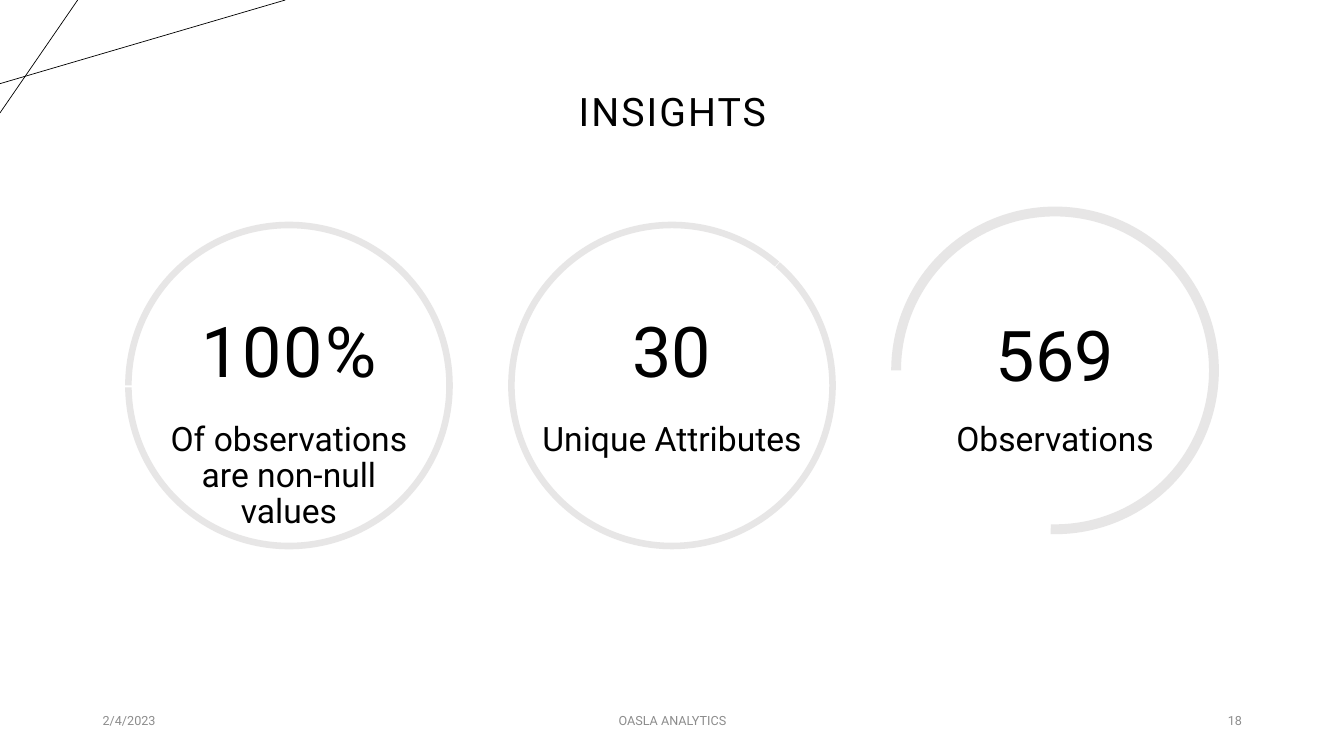
"""Build the insights slide: three ringed figures with labels and a footer."""
from dataclasses import dataclass

import pptx
import pptx.dml.color
import pptx.enum.shapes
import pptx.enum.text
import pptx.oxml
import pptx.oxml.ns
import pptx.util

RGBColor = pptx.dml.color.RGBColor
Align = pptx.enum.text.PP_ALIGN
Anchor = pptx.enum.text.MSO_ANCHOR

BLACK = RGBColor(0x00, 0x00, 0x00)
WHITE = RGBColor(0xFF, 0xFF, 0xFF)
GREY = RGBColor(0x8C, 0x8C, 0x8C)
RING = RGBColor(0xE7, 0xE6, 0xE6)

FONT = "Roboto"
WIDTH = pptx.util.Inches(13.33)
HEIGHT = pptx.util.Inches(7.5)
PITCH = 28.5
RING_SIZE = pptx.util.Inches(3.25)
TEXT_WIDTH = 22.05
TEXT_TOP = 54.13


@dataclass(frozen=True)
class Box:
    """A rectangle in percent of the slide's width and height."""

    left: float
    top: float
    width: float
    height: float

    def emu(self) -> tuple[int, int, int, int]:
        """Return left, top, width and height in EMU."""
        return (across(self.left), down(self.top),
                across(self.width), down(self.height))


@dataclass(frozen=True)
class Style:
    """How a text is set."""

    size: float
    color: RGBColor = BLACK
    align: Align = Align.CENTER
    anchor: Anchor = Anchor.MIDDLE
    spacing: float = 1.0
    tracking: float = 0
    inset: float | None = None


@dataclass(frozen=True)
class Insight:
    """A figure in a ring; angles in degrees, tops and heights in percent."""

    runs: tuple[str, ...]
    label: str
    start: float
    end: float
    thickness: float
    ring_top: float = 29.33
    figure_top: float = 37.87
    label_height: float = 12.27
    tracking: float = 0


@dataclass(frozen=True)
class Footer:
    """One footer entry."""

    text: str
    box: Box
    align: Align


INSIGHTS = (
    Insight(("100", "%"), "Of observations are non-null values", 180, 179.35,
            0.02, label_height=19.47, tracking=1.5),
    Insight(("30",), "Unique Attributes", 311.15, 310.86, 0.02),
    Insight(("569",), "Observations", 180, 91.55, 0.03,
            ring_top=27.33, figure_top=38.4),
)
FOOTERS = (
    Footer("2/4/2023", Box(6.9, 92.67, 22.5, 5.33), Align.LEFT),
    Footer("OASLA ANALYTICS", Box(33.15, 92.67, 33.75, 5.33), Align.CENTER),
    Footer("18", Box(70.65, 92.67, 22.5, 5.33), Align.RIGHT),
)
CORNER_LINES = ((0, 11.07, 21.23, 0), (5.78, 0, 0, 14.93))


def across(share: float) -> int:
    """Turn percent of the slide's width into EMU."""
    return round(WIDTH * share / 100)


def down(share: float) -> int:
    """Turn percent of the slide's height into EMU."""
    return round(HEIGHT * share / 100)


def write(tf: pptx.text.text.TextFrame, runs: tuple[str, ...], style: Style) -> None:
    """Fill a text frame with one styled paragraph."""
    tf.word_wrap = True
    tf.auto_size = pptx.enum.text.MSO_AUTO_SIZE.NONE
    tf.vertical_anchor = style.anchor
    if style.inset is not None:
        inset = pptx.util.Inches(style.inset)
        tf.margin_left = tf.margin_right = inset
        tf.margin_top = tf.margin_bottom = inset
    p = tf.paragraphs[0]
    p.alignment = style.align
    p.line_spacing = style.spacing
    for text in runs:
        r = p.add_run()
        r.text = text
        r.font.name = FONT
        r.font.size = pptx.util.Pt(style.size)
        r.font.color.rgb = style.color
        if style.tracking:
            r.font._element.set("spc", str(round(style.tracking * 100)))


def add_text(s: pptx.slide.Slide, box: Box, runs: tuple[str, ...], style: Style) -> None:
    """Add a text box."""
    write(s.shapes.add_textbox(*box.emu()).text_frame, runs, style)


def add_title(s: pptx.slide.Slide, text: str) -> None:
    """Place and fill the title placeholder."""
    sp = s.shapes.title
    sp.left, sp.top, sp.width, sp.height = Box(6.9, 5.33, 86.27, 19.33).emu()
    write(sp.text_frame, (text,), Style(28, spacing=0.9, tracking=1.5))


def add_corner_line(s: pptx.slide.Slide, x1: float, y1: float, x2: float, y2: float) -> None:
    """Add a thin line across the slide's corner."""
    line = s.shapes.add_connector(
        pptx.enum.shapes.MSO_CONNECTOR.STRAIGHT,
        across(x1), down(y1), across(x2), down(y2))
    line.line.color.rgb = BLACK
    line.line.width = pptx.util.Pt(0.5)
    line._element.spPr.append(pptx.oxml.parse_xml(
        f'<a:effectLst {pptx.oxml.ns.nsdecls("a")}/>'))


def add_ring(s: pptx.slide.Slide, centre: float, insight: Insight) -> None:
    """Add the ring around a figure."""
    sp = s.shapes.add_shape(
        pptx.enum.shapes.MSO_SHAPE.BLOCK_ARC,
        across(centre) - RING_SIZE // 2, down(insight.ring_top),
        RING_SIZE, RING_SIZE)
    sp.adjustments[0] = insight.start * 0.6
    sp.adjustments[1] = insight.end * 0.6
    sp.adjustments[2] = insight.thickness
    sp.shadow.inherit = False
    sp.fill.solid()
    sp.fill.fore_color.rgb = RING
    sp.line.fill.background()


def add_insight(s: pptx.slide.Slide, column: int, insight: Insight) -> None:
    """Add a ring with its figure and label."""
    centre = 50 + (column - 1) * PITCH
    left = centre - TEXT_WIDTH / 2
    add_ring(s, centre, insight)
    add_text(s, Box(left, insight.figure_top, TEXT_WIDTH, 15.73), insight.runs,
             Style(50, anchor=Anchor.BOTTOM, spacing=0.9,
                   tracking=insight.tracking, inset=0.13))
    add_text(s, Box(left, TEXT_TOP, TEXT_WIDTH, insight.label_height),
             (insight.label,),
             Style(24, anchor=Anchor.TOP, spacing=0.9, inset=0.13))


def main() -> None:
    """Build and save the slide."""
    prs = pptx.Presentation()
    prs.slide_width, prs.slide_height = WIDTH, HEIGHT
    s = prs.slides.add_slide(prs.slide_layouts[5])
    s.background.fill.solid()
    s.background.fill.fore_color.rgb = WHITE
    for ends in CORNER_LINES:
        add_corner_line(s, *ends)
    add_title(s, "INSIGHTS")
    for footer in FOOTERS:
        add_text(s, footer.box, (footer.text,), Style(9, GREY, footer.align))
    for column, insight in enumerate(INSIGHTS):
        add_insight(s, column, insight)
    prs.save("out.pptx")


if __name__ == "__main__":
    main()
